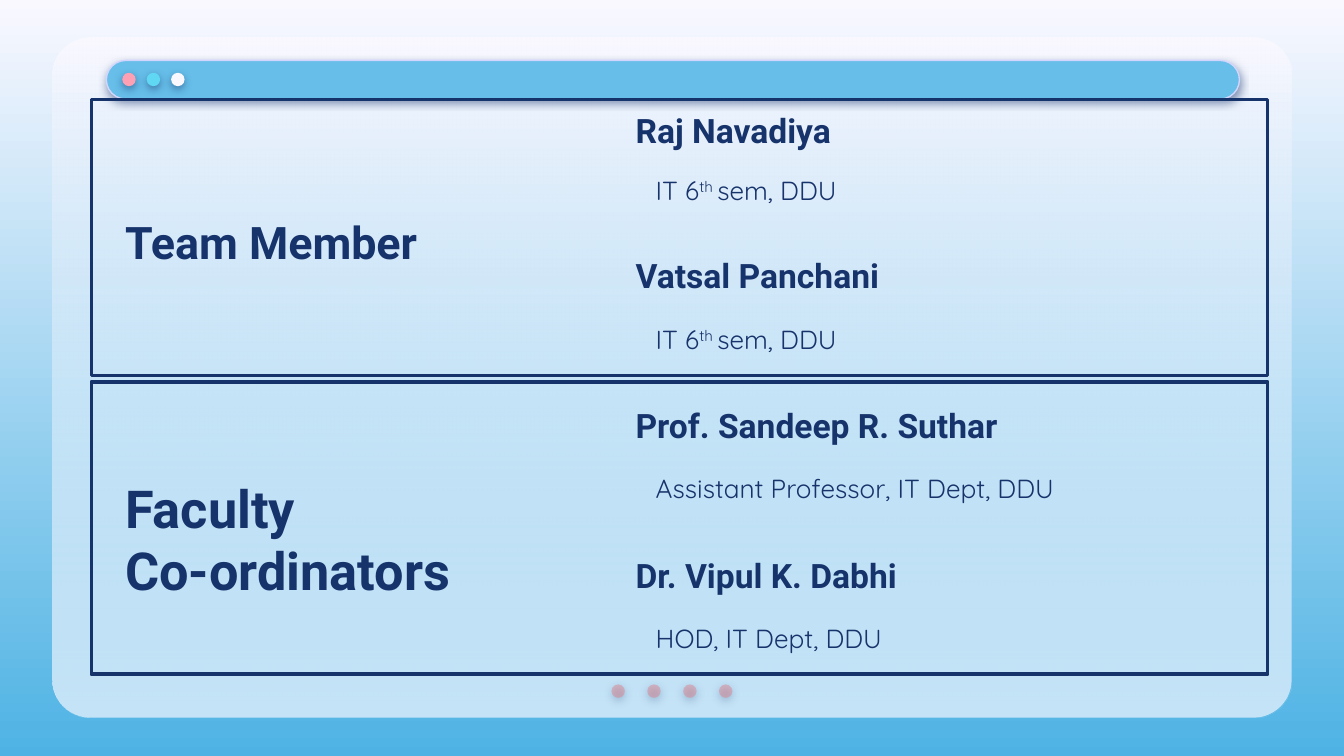
from dataclasses import dataclass

from lxml import etree
from pptx import Presentation
from pptx.dml.color import RGBColor
from pptx.dml.fill import FillFormat
from pptx.enum.shapes import MSO_SHAPE
from pptx.enum.text import MSO_ANCHOR
from pptx.oxml.ns import qn
from pptx.shapes.autoshape import Shape
from pptx.slide import Slide
from pptx.text.text import TextFrame
from pptx.util import Pt

ROUNDED = MSO_SHAPE.ROUNDED_RECTANGLE
RECTANGLE = MSO_SHAPE.RECTANGLE
OVAL = MSO_SHAPE.OVAL
MIDDLE = MSO_ANCHOR.MIDDLE


@dataclass(frozen=True)
class Theme:
    navy: str = "17336B"
    pale: str = "F9F8FF"
    sky: str = "4EB3E4"
    bar: str = "66BEE9"
    bar_line: str = "D2D6FF"
    pink: str = "FDA0B4"
    cyan: str = "60D8F4"
    red: str = "E27B83"
    heading_font: str = "Roboto"
    body_font: str = "Quicksand"
    name_size: float = 18
    role_size: float = 14


@dataclass(frozen=True)
class Box:
    left: float
    top: float
    width: float
    height: float


@dataclass(frozen=True)
class Person:
    name: str
    role: tuple[str, ...]
    name_top: float
    role_top: float


@dataclass(frozen=True)
class Section:
    lines: tuple[str, ...]
    size: float
    heading: Box
    frame: Box


@dataclass(frozen=True)
class DotRow:
    left: float
    top: float
    pitch: float
    colors: tuple[str, ...]
    opacity: int


THEME = Theme()
PANEL = Box(28, 20.2, 664, 364.3)
BAR = Box(57, 32.4, 607, 20.7)
DOT_SIZE = 7.2
PEOPLE_LEFT = 333.4
INSET = 7.2
HEADING_DROP = 42

STUDENT_ROLE = ("IT 6", "th ", "sem, DDU")
PEOPLE = (
    Person("Raj Navadiya", STUDENT_ROLE, 55.4, 82.4),
    Person("Vatsal Panchani", STUDENT_ROLE, 133.2, 162.4),
    Person("Prof. Sandeep R. Suthar", ("Assistant Professor, IT Dept, DDU",), 213.1, 242.2),
    Person("Dr. Vipul K. Dabhi", ("HOD, IT Dept, DDU",), 293.5, 322.6),
)
SECTIONS = (
    Section(("Team Member",), 24, Box(60, 54, 223, 108.7), Box(49, 53.3, 630, 147.9)),
    Section(("Faculty", "Co-ordinators"), 28, Box(60, 213.1, 239, 108.7), Box(49, 204.5, 630, 156.8)),
)
DOT_ROWS = (
    DotRow(327.6, 366.7, 19.2, (THEME.red,) * 4, 44),
    DotRow(65.5, 39, 13.1, (THEME.pink, THEME.cyan, THEME.pale), 100),
)


def color(code: str) -> RGBColor:
    return RGBColor.from_string(code)


def set_gradient(fill: FillFormat, start: str, end: str) -> None:
    fill.gradient()
    fill.gradient_angle = 270
    for stop, code in zip(fill.gradient_stops, (start, end)):
        stop.color.rgb = color(code)


def set_opacity(shape: Shape, percent: int) -> None:
    last_color = shape._element.spPr.findall(".//" + qn("a:srgbClr"))[-1]
    etree.SubElement(last_color, qn("a:alpha"), val=str(percent * 1000))


def add_shadow(shape: Shape) -> None:
    effects = shape._element.spPr.find(qn("a:effectLst"))
    shadow = etree.SubElement(
        effects, qn("a:outerShdw"), blurRad=str(Pt(4.5)), dist=str(Pt(1.5)),
        dir="5400000", algn="bl", rotWithShape="0")
    shadow_color = etree.SubElement(shadow, qn("a:srgbClr"), val=THEME.navy)
    etree.SubElement(shadow_color, qn("a:alpha"), val="50000")


def add_plain_shape(slide: Slide, kind: MSO_SHAPE, box: Box, fill: str | None = None) -> Shape:
    shape = slide.shapes.add_shape(
        kind, Pt(box.left), Pt(box.top), Pt(box.width), Pt(box.height))
    shape.shadow.inherit = False
    shape.line.fill.background()
    if fill:
        shape.fill.solid()
        shape.fill.fore_color.rgb = color(fill)
    else:
        shape.fill.background()
    return shape


def set_line(shape: Shape, code: str, width: float) -> None:
    shape.line.color.rgb = color(code)
    shape.line.width = Pt(width)


def add_text_frame(slide: Slide, box: Box) -> TextFrame:
    text_box = slide.shapes.add_textbox(
        Pt(box.left), Pt(box.top), Pt(box.width), Pt(box.height))
    frame = text_box.text_frame
    frame.word_wrap = True
    frame.vertical_anchor = MIDDLE
    frame.margin_left = frame.margin_right = Pt(INSET)
    frame.margin_top = frame.margin_bottom = Pt(INSET)
    return frame


def format_runs(frame: TextFrame, font_name: str, size: float, bold: bool) -> None:
    for paragraph in frame.paragraphs:
        for run in paragraph.runs:
            run.font.name = font_name
            run.font.size = Pt(size)
            run.font.bold = bold
            run.font.color.rgb = color(THEME.navy)


def draw_window(slide: Slide) -> None:
    for see_through in (False, True):
        panel = add_plain_shape(slide, ROUNDED, PANEL, THEME.pale)
        panel.adjustments[0] = 0.056
        if see_through:
            set_gradient(panel.fill, THEME.pale, THEME.bar)
            set_opacity(panel, 35)
    bar = add_plain_shape(slide, ROUNDED, BAR, THEME.bar)
    bar.adjustments[0] = 0.5
    set_line(bar, THEME.bar_line, 0.75)
    add_shadow(bar)


def draw_dots(slide: Slide, row: DotRow) -> None:
    for index, code in enumerate(row.colors):
        box = Box(row.left + index * row.pitch, row.top, DOT_SIZE, DOT_SIZE)
        dot = add_plain_shape(slide, OVAL, box, code)
        if row.opacity < 100:
            set_opacity(dot, row.opacity)
        add_shadow(dot)


def draw_person(slide: Slide, person: Person) -> None:
    name = add_text_frame(slide, Box(PEOPLE_LEFT, person.name_top, 275, 28.8))
    name.text = person.name
    format_runs(name, THEME.heading_font, THEME.name_size, True)
    role = add_text_frame(slide, Box(PEOPLE_LEFT, person.role_top, 266.4, 38.9))
    paragraph = role.paragraphs[0]
    properties = paragraph._p.get_or_add_pPr()
    properties.set("marL", str(Pt(36)))
    properties.set("indent", str(Pt(-25.2)))
    for index, part in enumerate(person.role):
        run = paragraph.add_run()
        run.text = part
        if index % 2:
            run._r.get_or_add_rPr().set("baseline", "30000")
    format_runs(role, THEME.body_font, THEME.role_size, False)


def draw_section(slide: Slide, section: Section) -> None:
    heading = add_text_frame(slide, section.heading)
    heading.margin_top = Pt(HEADING_DROP)
    heading.margin_bottom = 0
    heading.text = "\n".join(section.lines)
    format_runs(heading, THEME.heading_font, section.size, True)
    set_line(add_plain_shape(slide, RECTANGLE, section.frame), THEME.navy, 2)


def main() -> None:
    presentation = Presentation()
    presentation.slide_width = Pt(720)
    presentation.slide_height = Pt(405)
    slide = presentation.slides.add_slide(presentation.slide_layouts[6])
    set_gradient(slide.background.fill, THEME.pale, THEME.sky)
    draw_window(slide)
    for row in DOT_ROWS:
        draw_dots(slide, row)
    for person in PEOPLE:
        draw_person(slide, person)
    for section in SECTIONS:
        draw_section(slide, section)
    presentation.save("out.pptx")


if __name__ == "__main__":
    main()
